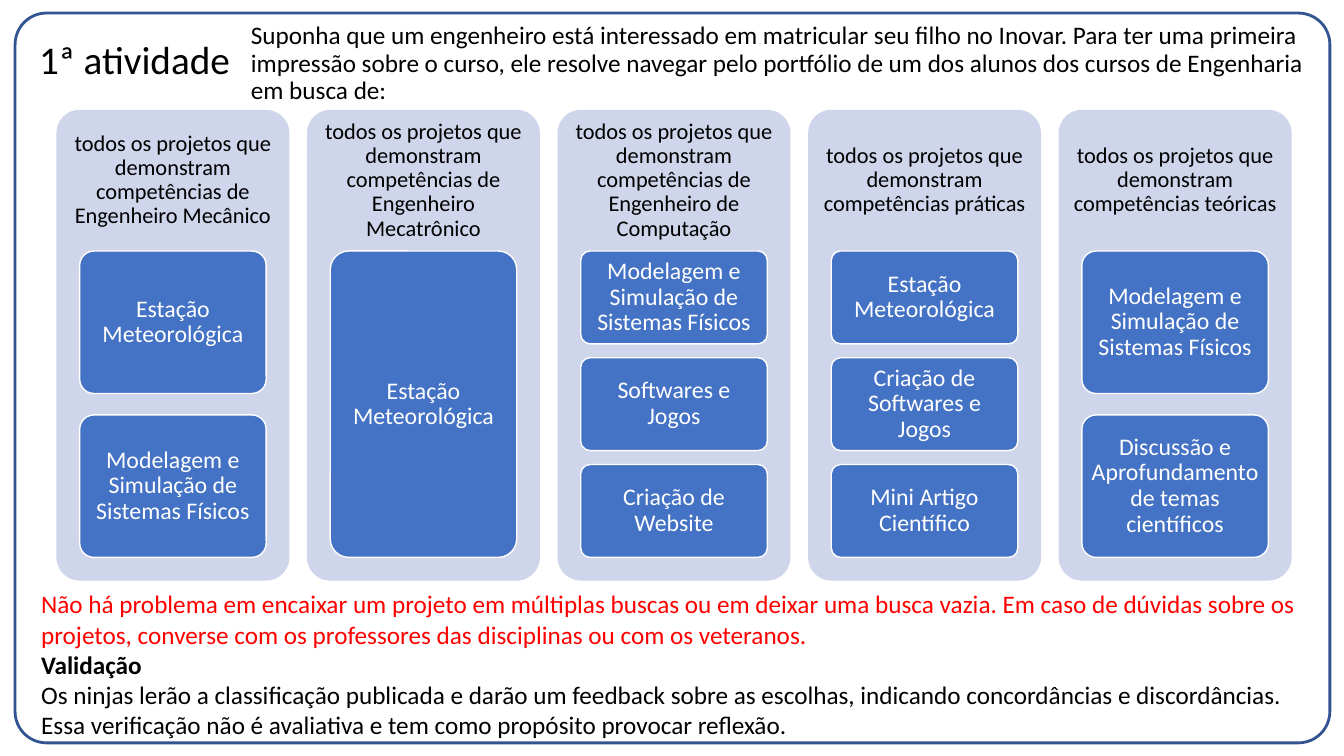
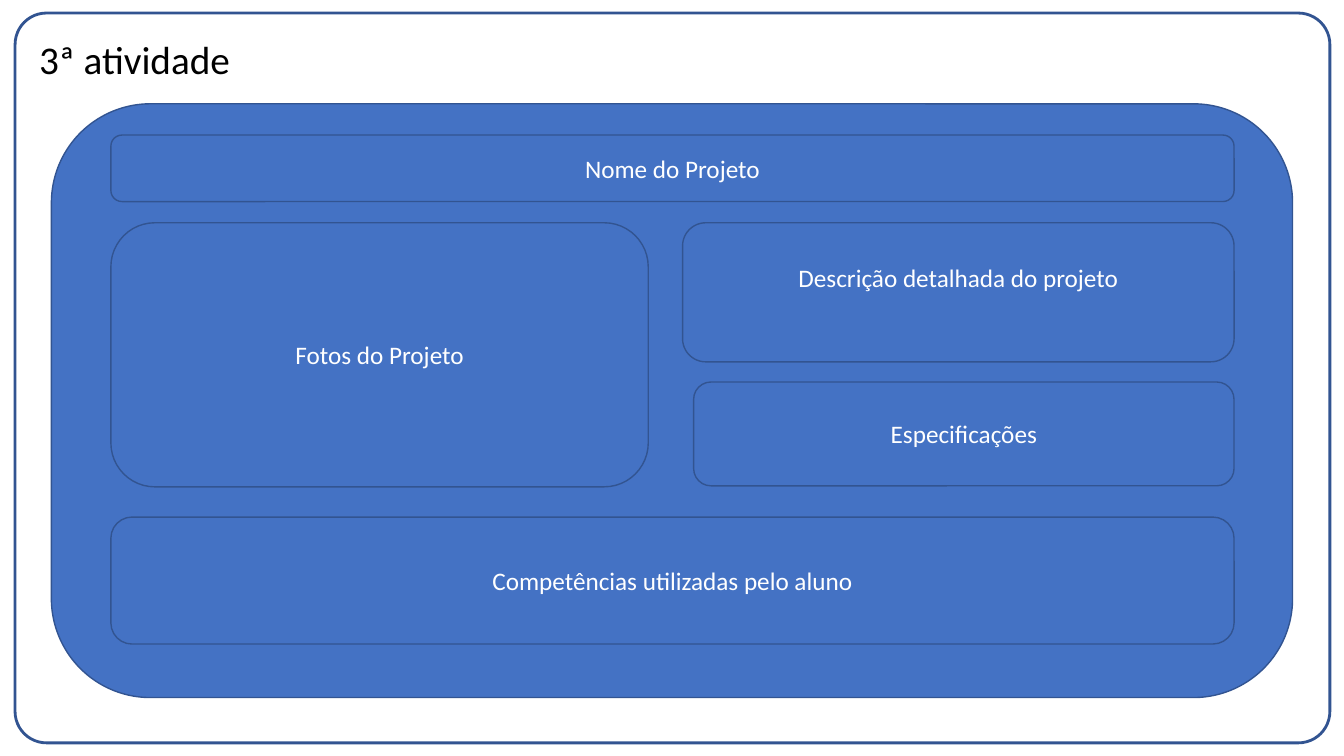
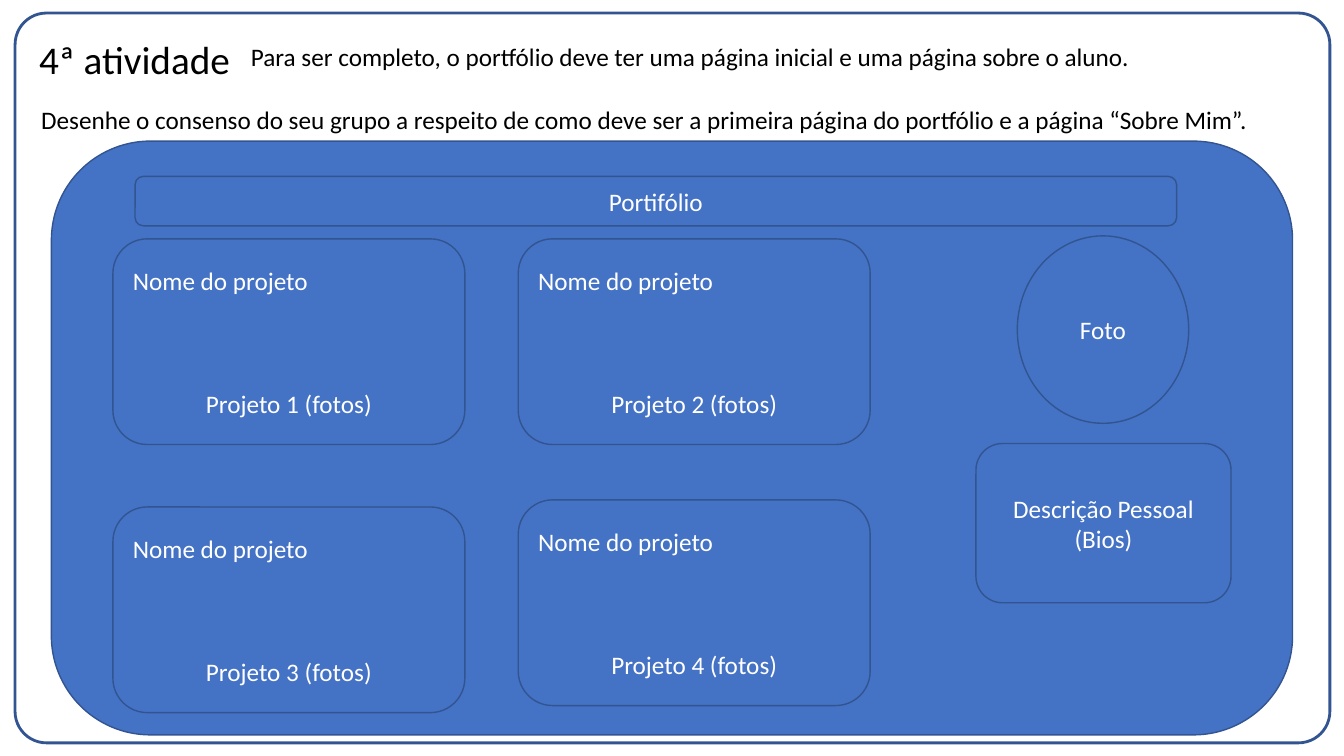
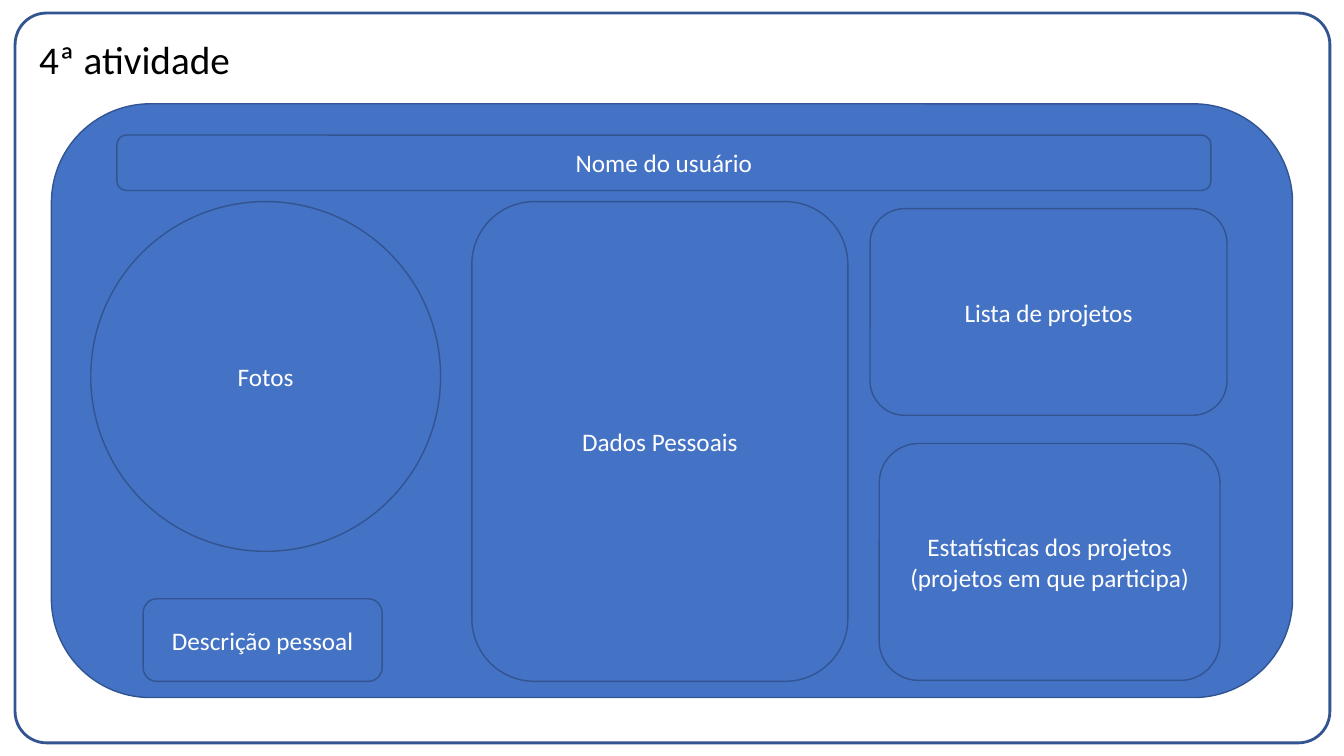
"""Builds four slides on the activities for a student portfolio."""
from pptx import Presentation
from pptx.dml.color import RGBColor
from pptx.enum.shapes import MSO_SHAPE
from pptx.enum.text import MSO_ANCHOR, PP_ALIGN
from pptx.util import Inches, Pt

ROUNDED, ELLIPSE = MSO_SHAPE.ROUNDED_RECTANGLE, MSO_SHAPE.OVAL
TOP, MIDDLE = MSO_ANCHOR.TOP, MSO_ANCHOR.MIDDLE
LEFT, CENTER = PP_ALIGN.LEFT, PP_ALIGN.CENTER

FONT = "Calibri"
BLUE, NAVY, PALE = "4472C4", "325491", "CFD5EA"
WHITE, BLACK, RED = "FFFFFF", "000000", "FF0000"
DEFAULT_INSETS = (0.1, 0.05, 0.1, 0.05)

STATION = "Estação Meteorológica"
MODELING = "Modelagem e Simulação de Sistemas Físicos"
SEARCHES = [
    ("de Engenheiro Mecânico", [STATION, MODELING]),
    ("de Engenheiro Mecatrônico", [STATION]),
    ("de Engenheiro de Computação",
     [MODELING, "Softwares e Jogos", "Criação de Website"]),
    ("práticas",
     [STATION, "Criação de Softwares e Jogos", "Mini Artigo Científico"]),
    ("teóricas",
     [MODELING, "Discussão e Aprofundamento de temas científicos"]),
]


def color(value):
    """Turns a hex string into a colour."""
    return RGBColor.from_string(value)


class Deck:
    """Holds the presentation, its style and the current slide."""

    def __init__(self):
        """Starts an empty widescreen presentation."""
        self.presentation = Presentation()
        self.presentation.slide_width = Inches(13.33)
        self.presentation.slide_height = Inches(7.5)
        self.slide = None

    def new_slide(self, title):
        """Adds a slide with the outer frame and its title."""
        layout = self.presentation.slide_layouts[6]
        self.slide = self.presentation.slides.add_slide(layout)
        self.shape((0.15, 0.13, 13.04, 7.24), fill=None, line_width=2,
                   corner=0.043)
        self.text((0.29, 0.26, 2.2, 0.71), title, size=28, spacing=0.9,
                  anchor=MIDDLE)

    def set_text(self, shape, text, size=18, ink=BLACK, align=LEFT, anchor=TOP,
                 spacing=1.0, insets=DEFAULT_INSETS):
        """Puts formatted text into a shape, one paragraph a line."""
        text_frame = shape.text_frame
        text_frame.text = text
        text_frame.word_wrap = True
        text_frame.vertical_anchor = anchor
        (text_frame.margin_left, text_frame.margin_top,
         text_frame.margin_right, text_frame.margin_bottom) = map(Inches, insets)
        for paragraph in text_frame.paragraphs:
            paragraph.alignment = align
            paragraph.line_spacing = spacing
            for run in paragraph.runs:
                run.font.name = FONT
                run.font.size = Pt(size)
                run.font.color.rgb = color(ink)
        return text_frame.paragraphs

    def text(self, area, text, **style):
        """Adds a text box and returns its paragraphs."""
        box = self.slide.shapes.add_textbox(*map(Inches, area))
        return self.set_text(box, text, **style)

    def shape(self, area, kind=ROUNDED, fill=BLUE, line=NAVY, line_width=1,
              corner=None):
        """Adds a preset shape without shadow."""
        shape = self.slide.shapes.add_shape(kind, *map(Inches, area))
        shape.shadow.inherit = False
        if fill:
            shape.fill.solid()
            shape.fill.fore_color.rgb = color(fill)
        else:
            shape.fill.background()
        if line:
            shape.line.color.rgb = color(line)
            shape.line.width = Pt(line_width)
        else:
            shape.line.fill.background()
        if corner is not None:
            shape.adjustments[0] = corner
        return shape

    def block(self, area, text, kind=ROUNDED, insets=DEFAULT_INSETS):
        """Adds a wireframe block with centred white text."""
        return self.set_text(self.shape(area, kind), text, ink=WHITE,
                             align=CENTER, anchor=MIDDLE, insets=insets)

    def page(self, top=1.03):
        """Adds the large rounded panel that stands for a web page."""
        self.shape((0.51, top, 12.31, 5.89))

    def project_card(self, left, top, number):
        """Adds a project block with its name above its photo label."""
        name, photos = self.block((left, top, 3.49, 2.04),
                                  f"Nome do projeto\nProjeto {number} (fotos)")
        name.alignment = LEFT
        photos.space_before = Pt(66)

    def search_column(self, left, heading, projects):
        """Adds a search panel whose projects share its height equally."""
        self.shape((left, 1.09, 2.31, 4.67), fill=PALE, line=None, corner=0.1)
        self.text((left, 1.09, 2.31, 1.4), heading, size=16, align=CENTER,
                  anchor=MIDDLE, spacing=0.9, insets=(0.07,) * 4)
        count, gap_ratio = len(projects), 0.15
        height = 3.04 / (count + gap_ratio * (count - 1))
        for index, project in enumerate(projects):
            top = 2.49 + index * height * (1 + gap_ratio)
            tile = self.shape((left + 0.23, top, 1.85, height), line=WHITE,
                              corner=0.1)
            self.set_text(tile, project, size=17, ink=WHITE, align=CENTER,
                          anchor=MIDDLE, spacing=0.9,
                          insets=(0.05, 0.04, 0.05, 0.04))


def search_slide(deck):
    """Builds the slide that sorts projects by search."""
    deck.new_slide("1ª atividade")
    deck.text((2.39, 0.18, 10.78, 0.9),
              "Suponha que um engenheiro está interessado em matricular seu "
              "filho no Inovar. Para ter uma primeira impressão sobre o curso, "
              "ele resolve navegar pelo portfólio de um dos alunos dos cursos "
              "de Engenharia em busca de:", spacing=0.9)
    for index, (skill, projects) in enumerate(SEARCHES):
        heading = f"todos os projetos que demonstram competências {skill}"
        deck.search_column(0.56 + index * (10.5 - 0.56) / 4, heading, projects)
    notice, validation, _ = deck.text(
        (0.31, 5.79, 12.86, 1.62),
        "Não há problema em encaixar um projeto em múltiplas buscas ou em "
        "deixar uma busca vazia. Em caso de dúvidas sobre os projetos, "
        "converse com os professores das disciplinas ou com os veteranos.\n"
        "Validação\n"
        "Os ninjas lerão a classificação publicada e darão um feedback sobre "
        "as escolhas, indicando concordâncias e discordâncias. Essa "
        "verificação não é avaliativa e tem como propósito provocar reflexão.")
    notice.runs[0].font.color.rgb = color(RED)
    validation.runs[0].font.bold = True


def project_slide(deck):
    """Builds the wireframe of a project page."""
    deck.new_slide("3ª atividade")
    deck.page()
    deck.block((1.1, 1.34, 11.14, 0.66), "Nome do Projeto")
    deck.block((1.1, 2.21, 5.33, 2.62), "Fotos do Projeto")
    deck.block((6.77, 2.21, 5.47, 1.38), "Descrição detalhada do projeto",
               insets=(0.1, 0.05, 0.1, 0.35))
    deck.block((6.88, 3.79, 5.36, 1.03), "Especificações")
    deck.block((1.1, 5.13, 11.14, 1.26), "Competências utilizadas pelo aluno")


def home_slide(deck):
    """Builds the wireframe of the portfolio's first page."""
    deck.new_slide("4ª atividade")
    deck.text((2.39, 0.39, 10.78, 0.4),
              "Para ser completo, o portfólio deve ter uma página inicial e "
              "uma página sobre o aluno.", spacing=0.9)
    deck.text((0.31, 0.99, 12.71, 0.4),
              "Desenhe o consenso do seu grupo a respeito de como deve ser a "
              "primeira página do portfólio e a página “Sobre Mim”.")
    deck.page(top=1.4)
    deck.block((1.34, 1.75, 10.33, 0.49), "Portifólio")
    deck.block((10.09, 2.34, 1.7, 1.86), "Foto", kind=ELLIPSE)
    deck.block((9.68, 4.4, 2.53, 1.58), "Descrição Pessoal\n(Bios)")
    places = [(1.12, 2.37), (5.14, 2.37), (1.12, 5.03), (5.14, 4.96)]
    for number, (left, top) in enumerate(places, start=1):
        deck.project_card(left, top, number)


def about_slide(deck):
    """Builds the wireframe of the page about the student."""
    deck.new_slide("4ª atividade")
    deck.page()
    deck.block((1.16, 1.34, 10.85, 0.55), "Nome do usuário")
    deck.block((0.9, 2, 3.47, 3.47), "Fotos", kind=ELLIPSE)
    deck.block((4.68, 2, 3.73, 4.76), "Dados Pessoais")
    deck.block((1.42, 5.94, 2.37, 0.82), "Descrição pessoal")
    deck.block((8.63, 2.07, 3.54, 2.05), "Lista de projetos")
    deck.block((8.72, 4.4, 3.38, 2.35),
               "Estatísticas dos projetos\n(projetos em que participa)")


def main():
    """Builds all slides and saves the presentation."""
    deck = Deck()
    for build in (search_slide, project_slide, home_slide, about_slide):
        build(deck)
    deck.presentation.save("out.pptx")


if __name__ == "__main__":
    main()
